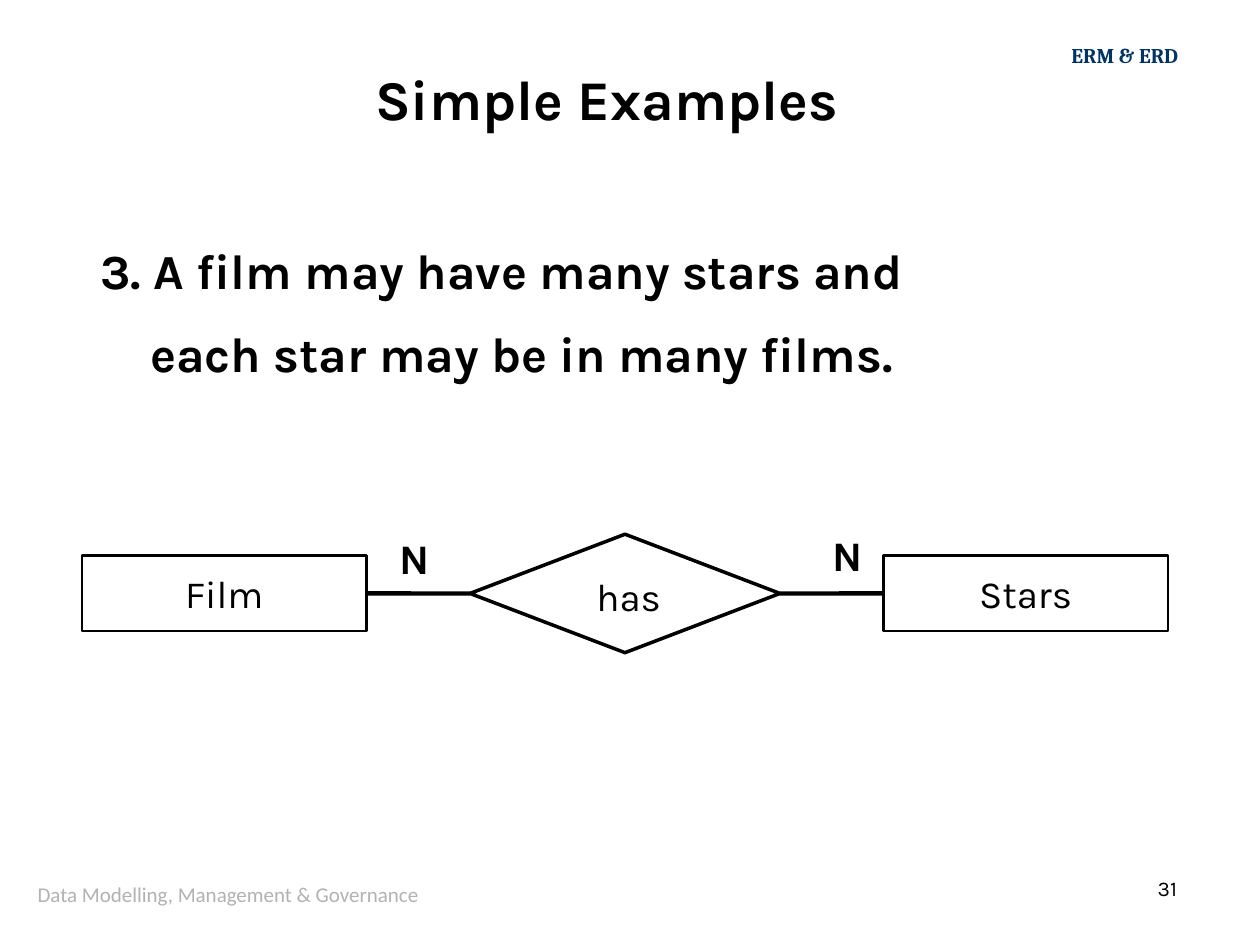
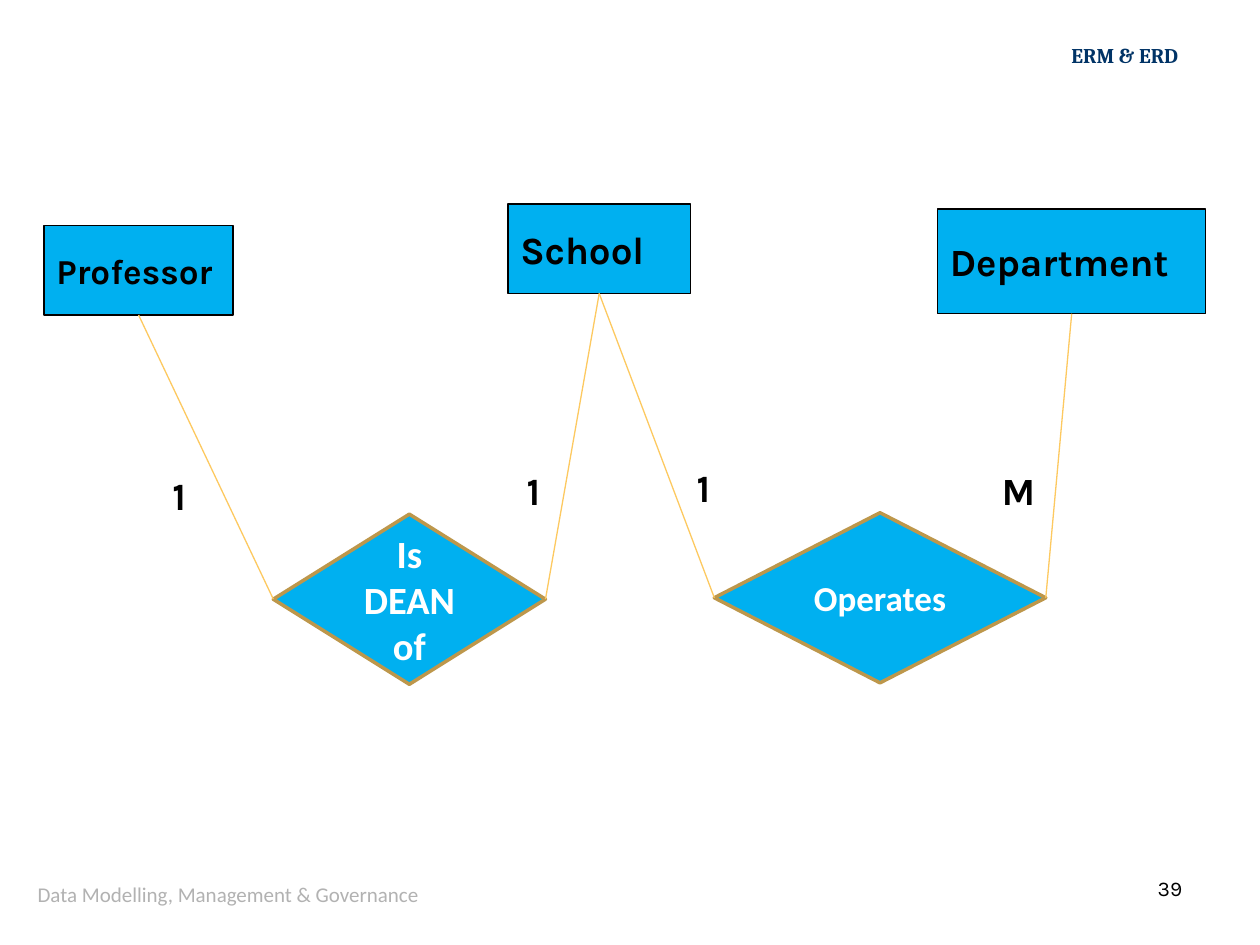
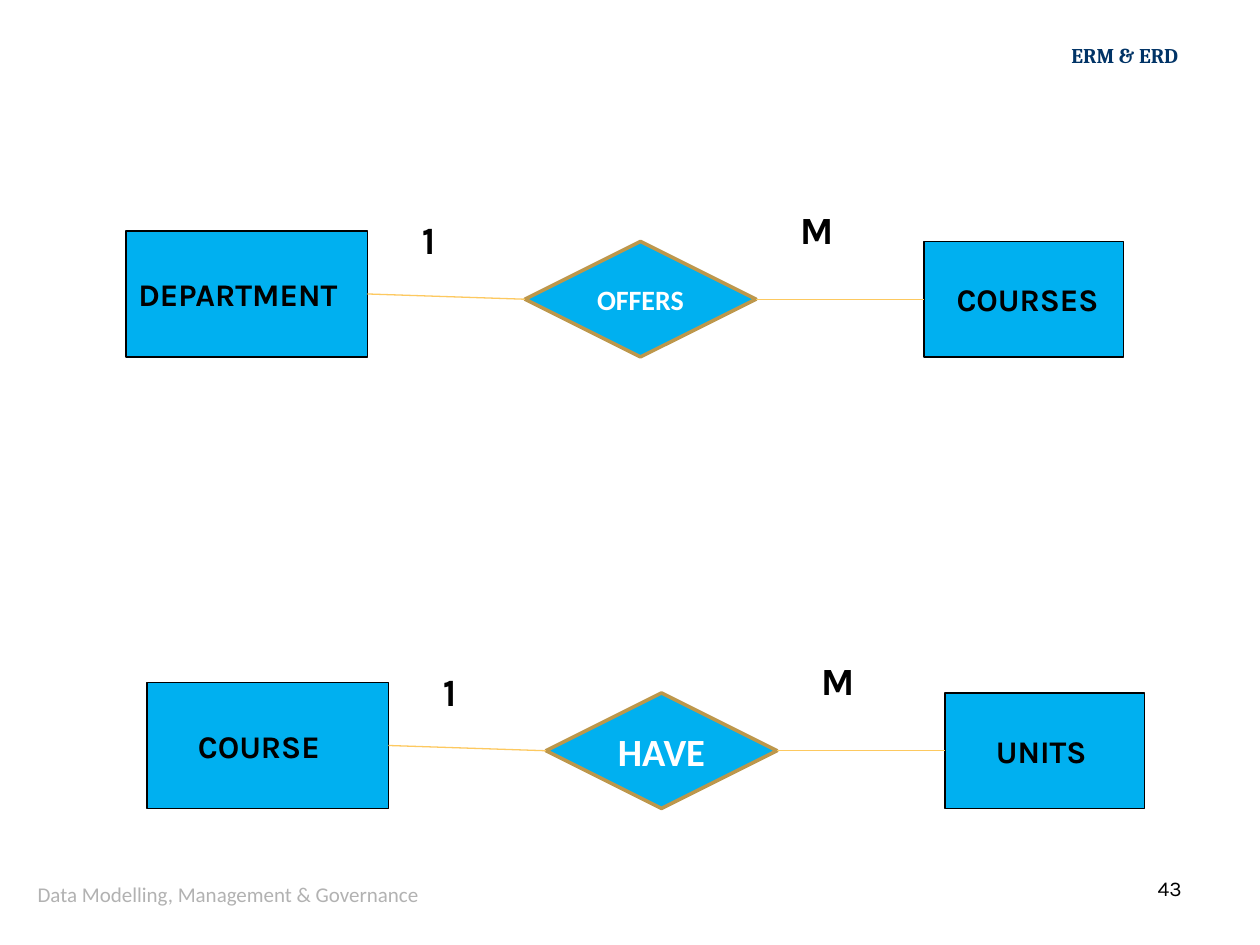
import dataclasses

import lxml.etree
import pptx
import pptx.dml.color
import pptx.enum.shapes
import pptx.enum.text
import pptx.oxml.ns
import pptx.util

Pt = pptx.util.Pt
Shape = pptx.enum.shapes.MSO_SHAPE
Anchor = pptx.enum.text.MSO_ANCHOR
Align = pptx.enum.text.PP_ALIGN

# Content: nodes are name: (style, text, size, indent, left, top, width, height)
HEADER = "ERM & ERD"
FOOTER = "Data Modelling, Management & Governance"
TITLE = "Simple Examples"
CLAIM = [("3. A film may have many stars and", 0),
         ("each star may be in many films.", 28.5)]

FILM = {
    "stars": ("plain", "Stars", 22, 0, 504.7, 317.5, 162.7, 43.2),
    "film": ("plain", "Film", 22, 0, 46.8, 317.5, 162.7, 43.2),
    "has": ("choice", "", 22, 0, 268.6, 305.3, 177.1, 67.7),
}
FILM_LINKS = [("film", "right", "has", "left"), ("has", "right", "stars", "left")]
FILM_MARKS = [("N", 221, 301), ("N", 468.7, 298.8)]

SCHOOL = {
    "prof": ("box", "Professor", 20, 0, 25.2, 128.9, 108, 51.1),
    "school": ("box", "School", 22, 0, 290.2, 116.6, 104.4, 51.1),
    "dept": ("box", "Department", 22, 0, 535.7, 119.5, 153.4, 59.8),
    "dean": ("gem", "Is DEAN of", 22, 0, 156.2, 293.8, 155.5, 97.2),
    "runs": ("gem", "Operates", 20, 0, 408.2, 293, 189.4, 97.2),
}
SCHOOL_LINKS = [("prof", "bottom", "dean", "left"),
                ("school", "bottom", "dean", "right"),
                ("school", "bottom", "runs", "left"),
                ("dept", "bottom", "runs", "right")]
SCHOOL_MARKS = [("1", 91.4, 266.4), ("1", 293.8, 263.5),
                ("1", 391, 261.4), ("M", 565.2, 263.5)]

# Rows: (text, size, indent) for left box, diamond and right box
ROWS = [[("DEPARTMENT", 18, 0), ("OFFERS", 16, 0), ("COURSES", 18, 11.5)],
        [("COURSE", 18, 22), ("HAVE", 22, 0), ("UNITS", 18, 22)]]
ROW_PARTS = [("one", "box", 72, 132, 138, 72),
             ("verb", "gem", 300, 138, 132, 66),
             ("many", "box", 528, 138, 114, 66)]
ROW_LINKS = [("one", "right", "verb", "left"), ("verb", "right", "many", "left")]
ROW_MARKS = [("1", 234, 120), ("M", 450, 114)]
ROW_STEP = (12, 258)


@dataclasses.dataclass(frozen=True)
class Look:
    """Shape, fill, edge, edge width, font, ink, bold and alignment of a node."""
    form: int
    fill: str
    edge: str
    width: float
    font: str
    ink: str
    bold: bool
    align: int


class Theme:
    main, foot, head = "Karla", "Calibri", "Cambria"
    black, white, blue = "000000", "FFFFFF", "00B0F0"
    gold, sand, navy, grey = "BD974B", "FDC960", "003366", "B2B2B2"
    title, claim, sign, mark, label, small = 32, 28, 24, 22, 22, 12
    gap = 14
    looks = {
        "plain": Look(Shape.RECTANGLE, white, black, 1.5, main, black, False, Align.CENTER),
        "choice": Look(Shape.FLOWCHART_DECISION, white, black, 2, main, black, False, Align.CENTER),
        "box": Look(Shape.RECTANGLE, blue, black, 0.75, main, black, True, Align.LEFT),
        "gem": Look(Shape.FLOWCHART_DECISION, blue, gold, 2, foot, white, True, Align.CENTER),
    }


SITES = {"top": 0, "left": 1, "bottom": 2, "right": 3}


def color(code):
    return pptx.dml.color.RGBColor.from_string(code)


def write(para, text, size, font, ink, bold=False, align=Align.LEFT, indent=0):
    para.alignment = align
    if indent:
        para._p.get_or_add_pPr().set("marL", str(Pt(indent)))
    run = para.add_run()
    run.text = text
    run.font.size = Pt(size)
    run.font.name = font
    run.font.bold = bold
    run.font.color.rgb = color(ink)


def frame(slide, area, anchor=Anchor.TOP, wrap=True):
    """Add an empty text box and return its text frame."""
    body = slide.shapes.add_textbox(*map(Pt, area)).text_frame
    body.word_wrap = wrap
    body.vertical_anchor = anchor
    return body


def node(slide, style, text, size, indent, *area):
    look = Theme.looks[style]
    shape = slide.shapes.add_shape(look.form, *map(Pt, area))
    shape.shadow.inherit = False
    shape.fill.solid()
    shape.fill.fore_color.rgb = color(look.fill)
    shape.line.color.rgb = color(look.edge)
    shape.line.width = Pt(look.width)
    if text:
        body = shape.text_frame
        body.word_wrap = True
        body.vertical_anchor = Anchor.MIDDLE
        write(body.paragraphs[0], text, size, look.font, look.ink,
              look.bold, look.align, indent)
    return shape


def link(slide, start, out, end, into, ink, width):
    line = slide.shapes.add_connector(pptx.enum.shapes.MSO_CONNECTOR.STRAIGHT, 0, 0, 0, 0)
    line.begin_connect(start, SITES[out])
    line.end_connect(end, SITES[into])
    line.line.color.rgb = color(ink)
    line.line.width = Pt(width)
    lxml.etree.SubElement(line._element.spPr, pptx.oxml.ns.qn("a:effectLst"))


def graph(slide, nodes, links, marks, ink=Theme.sand, width=0.75, size=Theme.mark):
    """Draw nodes, the lines between them and the cardinality marks."""
    made = {name: node(slide, *data) for name, data in nodes.items()}
    for start, out, end, into in links:
        link(slide, made[start], out, made[end], into, ink, width)
    for text, left, top in marks:
        body = frame(slide, (left, top, 40, 36))
        write(body.paragraphs[0], text, size, Theme.main, Theme.black, True)


def page(deck, number):
    """Add a blank slide with header, footer and page number."""
    slide = deck.slides.add_slide(deck.slide_layouts[6])
    head = frame(slide, (602.6, 20.9, 77.8, 21.6), wrap=False)
    write(head.paragraphs[0], HEADER, Theme.small, Theme.head, Theme.navy, True, Align.RIGHT)
    count = frame(slide, (654.5, 496.8, 45.4, 21.6))
    write(count.paragraphs[0], str(number), Theme.small, Theme.main, Theme.black)
    foot = frame(slide, (14.4, 496.8, 317.5, 28.8), Anchor.MIDDLE)
    write(foot.paragraphs[0], FOOTER, Theme.small, Theme.foot, Theme.grey)
    return slide


def film(deck):
    slide = page(deck, 31)
    head = frame(slide, (207.4, 33.1, 305.3, 45.4))
    write(head.paragraphs[0], TITLE, Theme.title, Theme.main, Theme.black, True)
    body = frame(slide, (50.4, 133.9, 547.2, 91.4))
    for index, (text, indent) in enumerate(CLAIM):
        para = body.add_paragraph() if index else body.paragraphs[0]
        para.space_before = Pt(Theme.gap if index else 0)
        write(para, text, Theme.claim, Theme.main, Theme.black, True, indent=indent)
    graph(slide, FILM, FILM_LINKS, FILM_MARKS, Theme.black, 2.5, Theme.sign)
    label = frame(slide, (321.8, 324, 74.9, 33.8))
    write(label.paragraphs[0], "has", Theme.label, Theme.main, Theme.black,
          align=Align.CENTER)


def school(deck):
    graph(page(deck, 39), SCHOOL, SCHOOL_LINKS, SCHOOL_MARKS)


def courses(deck):
    slide = page(deck, 43)
    for index, row in enumerate(ROWS):
        right, down = (index * step for step in ROW_STEP)
        nodes = {name: (style, *words, left + right, top + down, wide, high)
                 for (name, style, left, top, wide, high), words in zip(ROW_PARTS, row)}
        marks = [(text, left + right, top + down) for text, left, top in ROW_MARKS]
        graph(slide, nodes, ROW_LINKS, marks)


def main():
    deck = pptx.Presentation()
    deck.slide_width, deck.slide_height = Pt(720), Pt(540)
    film(deck)
    school(deck)
    courses(deck)
    deck.save("out.pptx")


if __name__ == "__main__":
    main()
